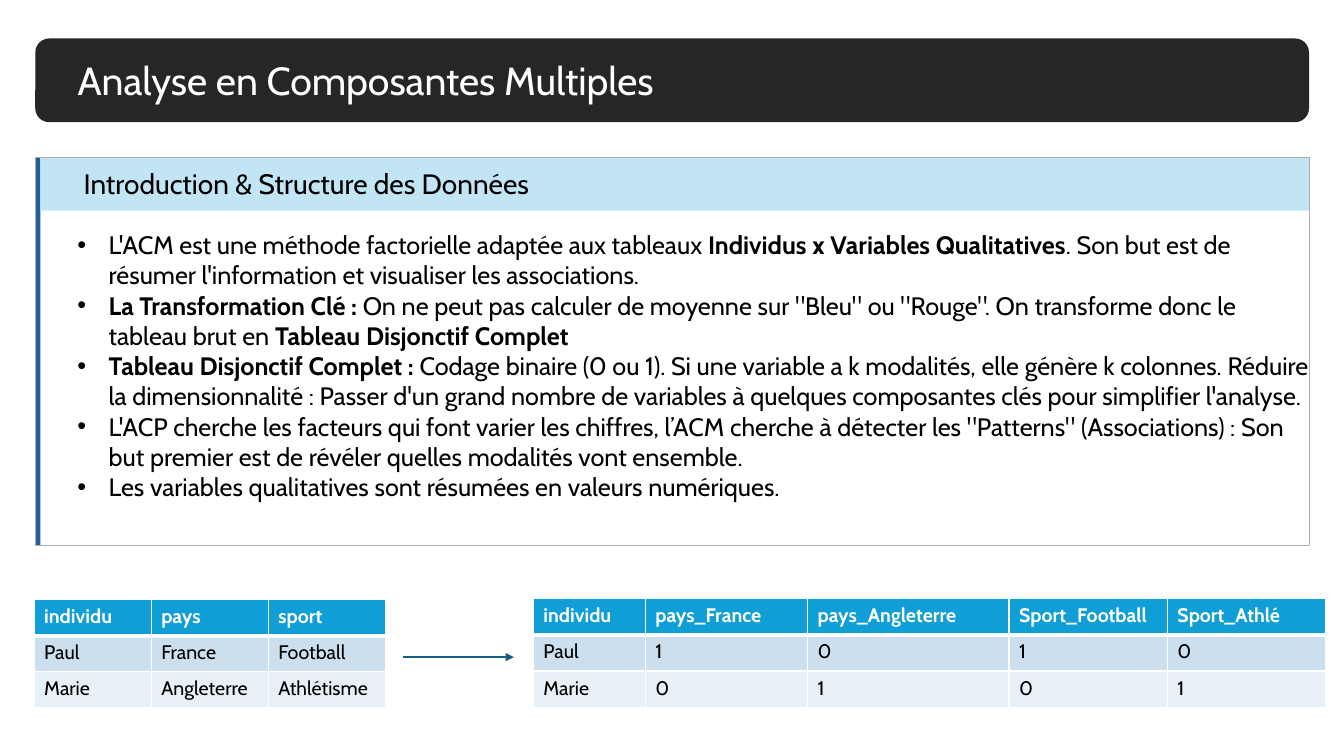
from lxml import etree
from pptx import Presentation
from pptx.dml.color import RGBColor
from pptx.enum.shapes import MSO_CONNECTOR, MSO_SHAPE
from pptx.enum.text import MSO_ANCHOR, MSO_AUTO_SIZE, PP_ALIGN
from pptx.oxml.ns import qn
from pptx.util import Cm, Pt

RECT, ROUND = MSO_SHAPE.RECTANGLE, MSO_SHAPE.ROUNDED_RECTANGLE
STRAIGHT = MSO_CONNECTOR.STRAIGHT
LEFT, TOP = PP_ALIGN.LEFT, MSO_ANCHOR.TOP
FIXED = MSO_AUTO_SIZE.NONE

FONT = "Cabin"
WHITE = RGBColor(0xFF, 0xFF, 0xFF)
BLACK = RGBColor(0, 0, 0)
DARK = RGBColor(0x26, 0x26, 0x26)
NAVY = RGBColor(0x21, 0x5F, 0x9A)
PALE = RGBColor(0xC1, 0xE5, 0xF5)
GREY = RGBColor(0xAE, 0xAE, 0xAE)
TEAL = RGBColor(0x15, 0x60, 0x82)
HEAD = RGBColor(0x0F, 0x9E, 0xD5)
BANDS = [RGBColor(0xCC, 0xDF, 0xEF), RGBColor(0xE7, 0xF0, 0xF7)]

TITLE = "Analyse en Composantes Multiples"
HEADING = " Introduction & Structure des Données"
# Text between ** marks is bold.
POINTS = [
    "L'ACM est une méthode factorielle adaptée aux tableaux **Individus x Variables "
    "Qualitatives**. Son but est de résumer l'information et visualiser les associations.",
    "**La Transformation Clé :** On ne peut pas calculer de moyenne sur \"Bleu\" ou "
    "\"Rouge\". On transforme donc le tableau brut en **Tableau Disjonctif Complet **",
    "**Tableau Disjonctif Complet : **Codage binaire (0 ou 1). Si une variable a k "
    "modalités, elle génère k colonnes. Réduire la dimensionnalité : Passer d'un grand "
    "nombre de variables à quelques composantes clés pour simplifier l'analyse.",
    "L'ACP cherche les facteurs qui font varier les chiffres, l’ACM cherche à détecter "
    "les \"Patterns\" (Associations) : Son but premier est de révéler quelles modalités "
    "vont ensemble.",
    "Les variables qualitatives sont résumées en valeurs numériques.",
]
RAW = [
    ["individu", "pays", "sport"],
    ["Paul", "France", "Football"],
    ["Marie", "Angleterre", "Athlétisme"],
]
CODED = [
    ["individu", "pays_France", "pays_Angleterre", "Sport_Football", "Sport_Athlé"],
    ["Paul", "1", "0", "1", "0"],
    ["Marie", "0", "1", "0", "1"],
]
# Rows, left, top and column widths in cm
TABLES = [
    (RAW, 0.86, 15.11, [2.95] * 3),
    (CODED, 13.44, 15.09, [2.82, 4.09, 5.08, 3.99, 3.99]),
]
EDGE, WIDE = 0.89, 32.1
INSET = 1.7
PANEL, TALL = 3.96, 9.78
STRIPE = 0.13
ROW = 0.91


def write(frame, lines, size=18, color=BLACK, bold=False, bullet=False):
    frame.word_wrap = True
    frame.auto_size = FIXED
    frame.vertical_anchor = TOP
    for i, line in enumerate(lines):
        para = frame.add_paragraph() if i else frame.paragraphs[0]
        para.alignment = LEFT
        if bullet:
            props = para._p.get_or_add_pPr()
            props.set("marL", str(Cm(0.79)))
            props.set("indent", str(-Cm(0.79)))
            etree.SubElement(props, qn("a:buFont"), typeface="Arial")
            etree.SubElement(props, qn("a:buChar"), char="•")
        for n, part in enumerate(line.split("**")):
            if part:
                run = para.add_run()
                run.text = part
                font = run.font
                font.name, font.size = FONT, Pt(size)
                font.bold = bold or n % 2 == 1
                font.color.rgb = color


def block(slide, kind, x, y, w, h, fill=None, line=None):
    shape = slide.shapes.add_shape(kind, Cm(x), Cm(y), Cm(w), Cm(h))
    shape.shadow.inherit = False
    if fill is None:
        shape.fill.background()
    else:
        shape.fill.solid()
        shape.fill.fore_color.rgb = fill
    if line is None:
        shape.line.fill.background()
    else:
        shape.line.color.rgb = line
        shape.line.width = Pt(0.25)
    return shape


def label(slide, x, y, w, h, lines, **form):
    box = slide.shapes.add_textbox(Cm(x), Cm(y), Cm(w), Cm(h))
    write(box.text_frame, lines, **form)


def border(cell, widths):
    """Draw white cell edges; widths maps an edge tag to points."""
    props = cell._tc.get_or_add_tcPr()
    for tag, width in widths.items():
        edge = etree.SubElement(props, qn("a:" + tag), w=str(Pt(width)))
        paint = etree.SubElement(edge, qn("a:solidFill"))
        etree.SubElement(paint, qn("a:srgbClr"), val=str(WHITE))


def grid(slide, rows, x, y, cols):
    frame = slide.shapes.add_table(len(rows), len(cols), Cm(x), Cm(y),
                                   Cm(sum(cols)), Cm(ROW * len(rows)))
    table = frame.table
    for col, width in zip(table.columns, cols):
        col.width = Cm(width)
    for r, row in enumerate(rows):
        table.rows[r].height = Cm(ROW)
        top = r == 0
        for c, text in enumerate(row):
            cell = table.cell(r, c)
            border(cell, {"lnL": 1, "lnR": 1, "lnT": 3 if r == 1 else 1,
                          "lnB": 3 if top else 1})
            cell.fill.solid()
            cell.fill.fore_color.rgb = HEAD if top else BANDS[(r - 1) % 2]
            write(cell.text_frame, [text], size=14, bold=top,
                  color=WHITE if top else BLACK)


def arrow(slide, x, end, y):
    line = slide.shapes.add_connector(STRAIGHT, Cm(x), Cm(y), Cm(end), Cm(y))
    line.line.color.rgb = TEAL
    line.line.width = Pt(1.5)
    etree.SubElement(line.line._get_or_add_ln(), qn("a:tailEnd"), type="triangle")
    etree.SubElement(line._element.spPr, qn("a:effectLst"))


def main():
    deck = Presentation()
    deck.slide_width, deck.slide_height = Cm(33.87), Cm(19.05)
    slide = deck.slides.add_slide(deck.slide_layouts[5])

    title = slide.shapes.title
    title.left, title.top = Cm(INSET), Cm(1.3)
    title.width, title.height = Cm(19.76), Cm(1.45)
    write(title.text_frame, [TITLE], size=28, color=WHITE)
    bar = block(slide, ROUND, EDGE, 0.97, WIDE, 2.11, fill=DARK)
    title.element.addprevious(bar.element)

    label(slide, INSET, 5.66, 31.72, 7.95, POINTS, bullet=True)
    block(slide, RECT, EDGE, PANEL, STRIPE, TALL, fill=NAVY)
    block(slide, RECT, EDGE + STRIPE, PANEL, WIDE - STRIPE, 1.35, fill=PALE)
    label(slide, INSET, 4.06, 17.68, 1.12, [HEADING], size=20)
    block(slide, RECT, EDGE, PANEL, WIDE, TALL, line=GREY)

    for rows, x, y, cols in TABLES:
        grid(slide, rows, x, y, cols)
    arrow(slide, 10.16, 12.95, 16.56)
    deck.save("out.pptx")


if __name__ == "__main__":
    main()
